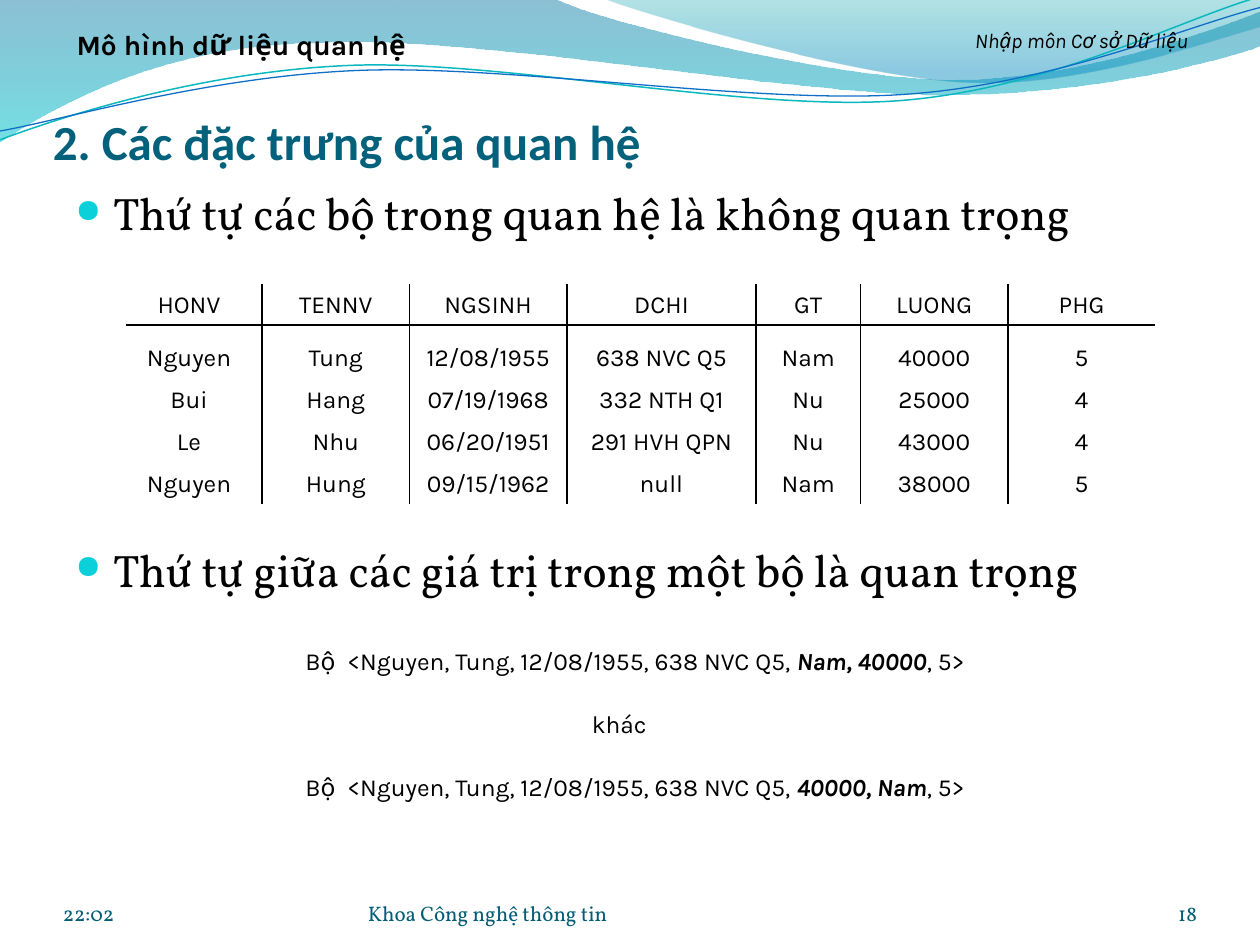
import pptx
import pptx.util
import pptx.dml.color
import pptx.enum.shapes
import pptx.enum.text
import pptx.oxml.ns
from lxml import etree

Inches, Pt = pptx.util.Inches, pptx.util.Pt
ALIGN = pptx.enum.text.PP_ALIGN
ANCHOR = pptx.enum.text.MSO_ANCHOR
qn = pptx.oxml.ns.qn

COLORS = {
    "ink": "000000", "title": "04617B", "footer": "045D75", "bullet": "0BD0D9",
    "wave_blue": "0074A1", "wave_cyan": "00C6CF", "crest_teal": "00A1A9",
    "crest_blue": "008BBF", "line_teal": "0AB8BF", "line_blue": "0F6FC6",
}
TITLE = {"name": "Calibri", "size": Pt(28), "bold": True}
BULLET = {"name": "Vollkorn", "size": Pt(26)}
FOOTER = {"name": "Vollkorn", "size": Pt(12)}
DETAIL = {"name": "Karla", "size": Pt(14)}
SWAPPED = {**DETAIL, "bold": True, "italic": True}
CHAPTER = {"name": "Karla", "size": Pt(16), "bold": True}
COURSE = {"name": "Karla", "size": Pt(12), "italic": True}

COLUMN_EDGES = [0.92, 2.08, 3.25, 4.5, 6, 6.83, 8, 9.17]
ROW_HEIGHTS = [0.33, 0.42, 0.33, 0.33, 0.33]
EMPLOYEES = [
    ["HONV", "TENNV", "NGSINH", "DCHI", "GT", "LUONG", "PHG"],
    ["Nguyen", "Tung", "12/08/1955", "638 NVC Q5", "Nam", "40000", "5"],
    ["Bui", "Hang", "07/19/1968", "332 NTH Q1", "Nu", "25000", "4"],
    ["Le", "Nhu", "06/20/1951", "291 HVH QPN", "Nu", "43000", "4"],
    ["Nguyen", "Hung", "09/15/1962", "null", "Nam", "38000", "5"],
]

# Each piece is an end point, or two control points followed by an end point.
WAVE = [(0, -0.01), (4.4, -0.01), (4.76, 0.17, 6.64, 0.63, 7.58, 0.63),
        (8.53, 0.63, 9.58, 0.26, 10, 0.09), (10.01, 0.36),
        (9.83, 0.44, 8.7, 0.76, 7.46, 0.75), (6.22, 0.75, 3.82, 0.28, 2.57, 0.34),
        (1.29, 0.35, 0.46, 0.83, -0.01, 1.13)]
CREST = [(4.79, -0.01), (5.09, 0.11, 6.82, 0.62, 7.69, 0.65),
         (8.56, 0.69, 9.61, 0.32, 10, 0.21), (10, 0)]
TEAL_LINE = [(0, 1.11), (0.48, 0.93, 1.58, 0.57, 2.77, 0.52),
             (3.95, 0.47, 5.93, 0.89, 7.13, 0.8), (8.33, 0.71, 9.38, 0.15, 9.98, -0.02)]
BLUE_LINE = [(0, 1.04), (0.47, 0.96, 1.64, 0.61, 2.83, 0.56),
             (4.03, 0.51, 5.97, 0.83, 7.17, 0.75), (8.36, 0.67, 9.41, 0.21, 10, 0.06)]


def rgb(color):
    """Return the named colour."""
    return pptx.dml.color.RGBColor.from_string(COLORS[color])


def add_run(paragraph, text, style, color="ink"):
    """Append a run formatted from a dict of font values."""
    run = paragraph.add_run()
    run.text = text
    for attribute, value in style.items():
        setattr(run.font, attribute, value)
    run.font.color.rgb = rgb(color)


def add_text(slide, box, runs, color="ink", align=ALIGN.LEFT, anchor=ANCHOR.TOP, insets=None):
    """Place one paragraph of (text, style) runs in a box and return it."""
    frame = slide.shapes.add_textbox(*map(Inches, box)).text_frame
    frame.word_wrap = True
    frame.vertical_anchor = anchor
    for side, inset in zip(("left", "top", "right", "bottom"), insets or ()):
        setattr(frame, "margin_" + side, Inches(inset))
    paragraph = frame.paragraphs[0]
    paragraph.alignment = align
    for text, style in runs:
        add_run(paragraph, text, style, color)
    return paragraph


def add_outline(slide, pieces, close):
    """Draw a freeform whose long pieces are cubic curves."""
    points = [(Inches(piece[i]), Inches(piece[i + 1]))
              for piece in pieces for i in range(0, len(piece), 2)]
    builder = slide.shapes.build_freeform(*points[0])
    builder.add_line_segments(points[1:], close=close)
    outline = builder.convert_to_shape()
    outline.shadow.inherit = False
    segments = iter(list(outline.element.iter(qn("a:lnTo"))))
    for piece in pieces[1:]:
        segment = next(segments)
        if len(piece) == 6:
            segment_group = [segment, next(segments), next(segments)]
            curve = etree.Element(qn("a:cubicBezTo"))
            segment.addprevious(curve)
            for part in segment_group:
                curve.append(part[0])
                part.getparent().remove(part)
    return outline


def add_swell(slide, pieces, stops):
    """Draw a wave filled top to bottom with (position, colour, opacity) stops."""
    swell = add_outline(slide, pieces, True)
    swell.line.fill.background()
    swell.fill.gradient()
    swell.fill.gradient_angle = 270
    for stop, (position, color, _) in zip(swell.fill.gradient_stops, stops):
        stop.position = position
        stop.color.rgb = rgb(color)
    tints = swell.element.spPr.iter(qn("a:srgbClr"))
    for tint, (_, _, opacity) in zip(tints, stops):
        etree.SubElement(tint, qn("a:alpha"), val=str(opacity * 1000))


def add_ripple(slide, pieces, color, width):
    """Draw a thin open curve."""
    ripple = add_outline(slide, pieces, False)
    ripple.fill.background()
    ripple.line.color.rgb = rgb(color)
    ripple.line.width = Pt(width)


def add_banner(slide):
    """Draw the waves across the top of the slide."""
    add_swell(slide, WAVE, [(0, "wave_blue", 45), (1, "wave_cyan", 55)])
    add_swell(slide, CREST, [(0, "crest_teal", 30), (0.8, "crest_blue", 45)])
    add_ripple(slide, TEAL_LINE, "line_teal", 0.85)
    add_ripple(slide, BLUE_LINE, "line_blue", 0.75)


def add_bullet(slide, box, text):
    """Place a bulleted statement."""
    properties = add_text(slide, box, [(text, BULLET)])._p.get_or_add_pPr()
    properties.set("marL", str(Inches(0.3)))
    properties.set("indent", str(-Inches(0.3)))
    color = etree.SubElement(properties, qn("a:buClr"))
    etree.SubElement(color, qn("a:srgbClr"), val=COLORS["bullet"])
    etree.SubElement(properties, qn("a:buSzPct"), val="72000")
    etree.SubElement(properties, qn("a:buChar"), char="●")


def add_rule(slide, *ends):
    """Draw a thin straight line between two points."""
    rule = slide.shapes.add_connector(
        pptx.enum.shapes.MSO_CONNECTOR.STRAIGHT, *map(Inches, ends))
    rule.line.color.rgb = rgb("ink")
    rule.line.width = Pt(1)
    etree.SubElement(rule.element.spPr, qn("a:effectLst"))


def add_employees(slide, top):
    """Place the relation as a plain table with rules between its parts."""
    left, right = COLUMN_EDGES[0], COLUMN_EDGES[-1]
    table = slide.shapes.add_table(
        len(EMPLOYEES), len(EMPLOYEES[0]), Inches(left), Inches(top),
        Inches(right - left), Inches(sum(ROW_HEIGHTS))).table
    table.first_row = table.horz_banding = False
    table._tbl.tblPr.find(qn("a:tableStyleId")).text = "{2D5ABB26-0587-4C30-8999-92F81FD0307C}"
    for column, start, end in zip(table.columns, COLUMN_EDGES, COLUMN_EDGES[1:]):
        column.width = Inches(end - start)
    for row, values, height in zip(table.rows, EMPLOYEES, ROW_HEIGHTS):
        row.height = Inches(height)
        for cell, value in zip(row.cells, values):
            cell.fill.background()
            cell.vertical_anchor = ANCHOR.BOTTOM
            cell.margin_top = cell.margin_bottom = Inches(0.05)
            paragraph = cell.text_frame.paragraphs[0]
            paragraph.alignment = ALIGN.CENTER
            add_run(paragraph, value, DETAIL)
    header_bottom = top + ROW_HEIGHTS[0]
    add_rule(slide, left + 0.08, header_bottom, right, header_bottom)
    for edge in COLUMN_EDGES[1:-1]:
        add_rule(slide, edge, top, edge, top + 1.75)


def add_comparison(slide, left, top, step=0.5):
    """Place two tuples that differ in order, with a word between them."""
    opening = "Bộ  <Nguyen, Tung, 12/08/1955, 638 NVC Q5, "
    for row, swapped in ((0, "Nam, 40000"), (2, "40000, Nam")):
        add_text(slide, (left, top + row * step, 8.42, 0.33),
                 [(opening, DETAIL), (swapped, SWAPPED), (", 5>", DETAIL)], align=ALIGN.CENTER)
    add_text(slide, (left + 3.42, top + step, 1.33, 0.33), [("khác", DETAIL)], align=ALIGN.CENTER)


def add_footer(slide, top):
    """Place time, faculty and slide number along the bottom."""
    for left, width, text, align in ((0.5, 2.33, "22:02", ALIGN.LEFT),
                                     (2.92, 3.67, "Khoa Công nghệ thông tin", ALIGN.LEFT),
                                     (8.67, 0.83, "18", ALIGN.RIGHT)):
        add_text(slide, (left, top, width, 0.4), [(text, FOOTER)], "footer",
                 align, ANCHOR.BOTTOM, (0, 0, 0, 0))


deck = pptx.Presentation()
deck.slide_width, deck.slide_height = Inches(10), Inches(7.5)
slide = deck.slides.add_slide(deck.slide_layouts[6])
add_banner(slide)
add_text(slide, (0.25, 0.17, 3.33, 0.37), [("Mô hình dữ liệu quan hệ", CHAPTER)], align=ALIGN.CENTER)
add_text(slide, (7.17, 0.17, 2.83, 0.38), [("Nhập môn Cơ sở Dữ liệu", COURSE)], align=ALIGN.CENTER)
add_text(slide, (0.42, 0.75, 9.33, 0.6), [("2. Các đặc trưng của quan hệ", TITLE)], "title",
         anchor=ANCHOR.BOTTOM, insets=(0, 0.05, 0, 0))
add_bullet(slide, (0.5, 1.42, 9, 0.6), "Thứ tự các bộ trong quan hệ là không quan trọng")
add_employees(slide, 2.25)
add_bullet(slide, (0.5, 4.25, 9, 0.6), "Thứ tự giữa các giá trị trong một bộ là quan trọng")
add_comparison(slide, 0.83, 5.08)
add_footer(slide, 6.95)
deck.save("out.pptx")
